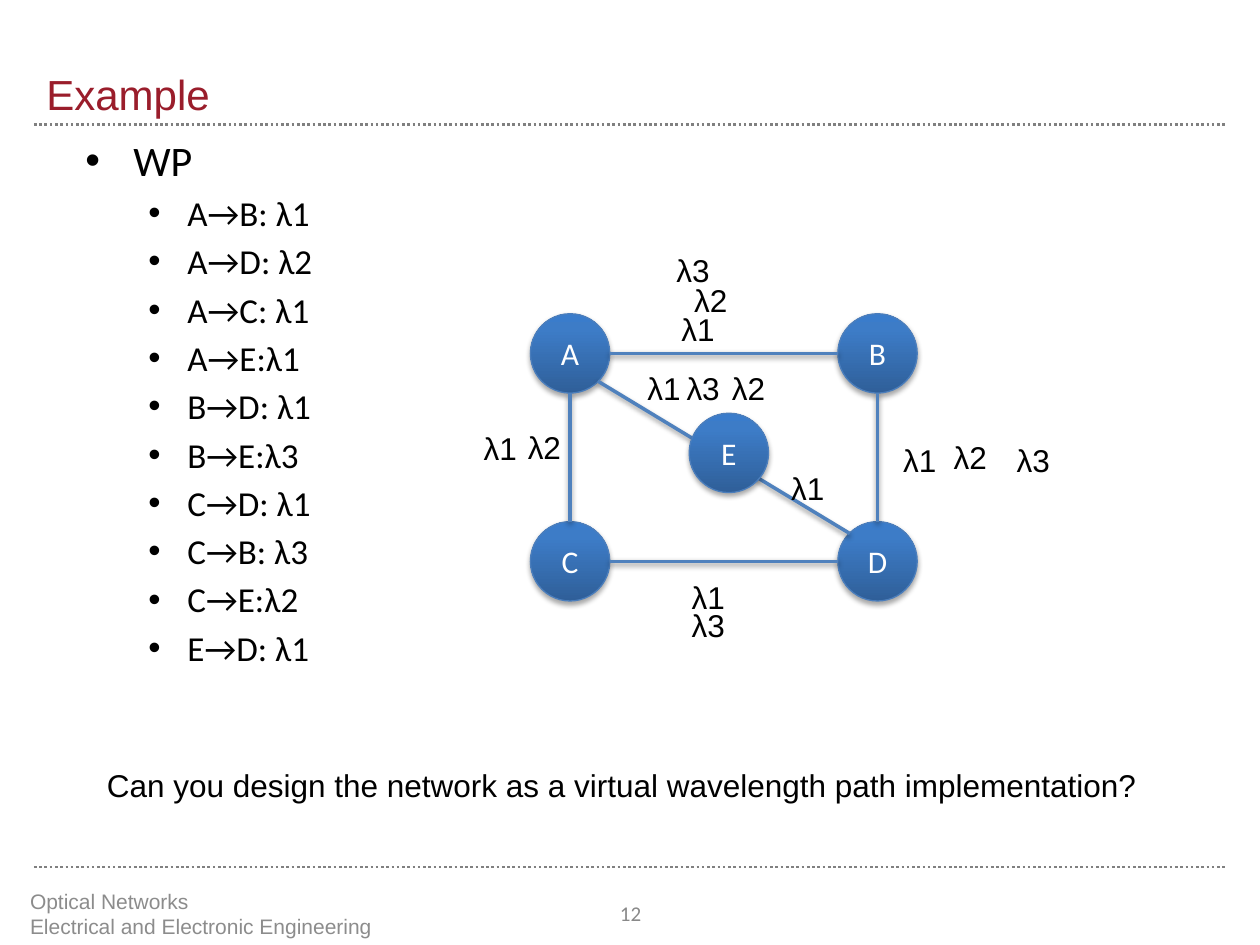
from lxml.etree import SubElement
from pptx import Presentation
from pptx.dml.color import RGBColor
from pptx.enum.dml import MSO_LINE
from pptx.enum.shapes import MSO_CONNECTOR, MSO_SHAPE
from pptx.enum.text import MSO_ANCHOR, PP_ALIGN
from pptx.oxml.ns import qn
from pptx.util import Inches, Pt

COLORS = {"title": "9A1D2B", "text": "000000", "footer": "8C8C8C", "number": "898989",
          "rule": "808080", "link": "4F81BD", "outline": "4B7EBC", "node": "FFFFFF"}
NODE_GRADIENT = ((0, "2F5F99"), (80, "3D7CC7"), (100, "3A7CCB"))

TITLE = {"name": "Arial", "size": Pt(24), "color": "title"}
TOPIC = {"name": "Calibri", "size": Pt(24), "color": "text"}
PATH = {"name": "Calibri", "size": Pt(20), "color": "text"}
FOOTER = {"name": "Arial", "size": Pt(12), "color": "footer"}
NUMBER = {"name": "Calibri", "size": Pt(12), "color": "number"}
NODE = {"name": "Calibri", "size": Pt(18), "color": "node"}
LABEL = {"name": "Arial", "size": Pt(18), "color": "text"}

PATHS = ("A→B: λ1", "A→D: λ2", "A→C: λ1", "A→E:λ1", "B→D: λ1",
         "B→E:λ3", "C→D: λ1", "C→B: λ3", "C→E:λ2", "E→D: λ1")

# Network geometry in inches, relative to the network's box
NODE_SIZE = 0.63
NODES = {"A": (0.47, 0.55), "B": (2.91, 0.55), "C": (0.47, 2.2), "D": (2.91, 2.2),
         "E": (1.73, 1.34)}
# Connection points as fractions of the node size
SITES = {"top": (0.5, 0), "bottom": (0.5, 1), "left": (0, 0.5), "right": (1, 0.5),
         "upper left": (0.15, 0.15), "lower right": (0.85, 0.85)}
LINKS = (("A", "right", "B", "left"), ("A", "bottom", "C", "top"),
         ("A", "lower right", "D", "upper left"), ("B", "bottom", "D", "top"),
         ("D", "left", "C", "right"))
WAVELENGTHS = (
    ("λ1", 1.57, 0.47), ("λ2", 1.67, 0.24), ("λ3", 1.53, 0),       # A–B
    ("λ1", 0, 1.42), ("λ2", 0.35, 1.41),                           # A–C
    ("λ1", 1.3, 0.94), ("λ3", 1.61, 0.94), ("λ2", 1.97, 0.94),     # A–E
    ("λ1", 2.44, 1.73),                                            # E–D
    ("λ1", 3.33, 1.51), ("λ2", 3.73, 1.49), ("λ3", 4.23, 1.51),    # B–D
    ("λ1", 1.65, 2.6), ("λ3", 1.65, 2.82),                         # C–D
)


def rgb(name):
    return RGBColor.from_string(COLORS[name])


def set_font(paragraph, style):
    for key, value in style.items():
        if key == "color":
            paragraph.font.color.rgb = rgb(value)
        else:
            setattr(paragraph.font, key, value)


def fill_text(shape, lines, style, anchor=MSO_ANCHOR.TOP, align=PP_ALIGN.LEFT, wrap=True):
    frame = shape.text_frame
    frame.word_wrap = wrap
    frame.vertical_anchor = anchor
    frame.text = "\n".join(lines)
    for paragraph in frame.paragraphs:
        paragraph.alignment = align
        set_font(paragraph, style)
    return frame


def add_text(slide, box, lines, style, **options):
    shape = slide.shapes.add_textbox(*map(Inches, box))
    return fill_text(shape, lines, style, **options)


def set_shadow(shape, opacity, distance):
    effects = shape._element.spPr.get_or_add_effectLst() if hasattr(
        shape._element.spPr, "get_or_add_effectLst") else SubElement(
        shape._element.spPr, qn("a:effectLst"))
    shadow = SubElement(effects, qn("a:outerShdw"), blurRad=str(Pt(3.1)),
                        dist=str(Pt(distance)), dir="5400000", rotWithShape="0")
    color = SubElement(shadow, qn("a:srgbClr"), val="000000")
    SubElement(color, qn("a:alpha"), val=str(opacity * 1000))


def add_line(slide, start, end, color, width):
    line = slide.shapes.add_connector(MSO_CONNECTOR.STRAIGHT, *map(Inches, (*start, *end)))
    line.line.color.rgb = rgb(color)
    line.line.width = Pt(width)
    return line


def add_rule(slide, left, top, width):
    rule = add_line(slide, (left, top), (left + width, top), "rule", 1.5)
    rule.line.dash_style = MSO_LINE.ROUND_DOT
    SubElement(rule._element.spPr, qn("a:effectLst"))


def add_header(slide, left, top, width, height):
    add_rule(slide, left, top + height, width)
    add_text(slide, (left, top, width, height), ["Example"], TITLE, anchor=MSO_ANCHOR.BOTTOM)


def add_bullet(paragraph, margin, hanging):
    properties = paragraph._p.get_or_add_pPr()
    properties.set("marL", str(Inches(margin)))
    properties.set("indent", str(-Inches(hanging)))
    SubElement(properties, qn("a:buFont"), typeface="Arial")
    SubElement(properties, qn("a:buChar"), char="•")


def add_path_list(slide, box):
    frame = add_text(slide, box, ["WP", *PATHS], PATH)
    topic, *paths = frame.paragraphs
    add_bullet(topic, 0.38, 0.38)
    set_font(topic, TOPIC)
    for paragraph in paths:
        paragraph.level = 1
        paragraph.space_before = Pt(3.6)
        add_bullet(paragraph, 0.81, 0.31)


def add_node(slide, name, left, top):
    node = slide.shapes.add_shape(MSO_SHAPE.OVAL, *map(Inches, (left, top, NODE_SIZE, NODE_SIZE)))
    node.fill.gradient()
    node.fill.gradient_angle = 90
    stops = node._element.spPr.find(qn("a:gradFill")).find(qn("a:gsLst"))
    for stop in list(stops):
        stops.remove(stop)
    for position, color in NODE_GRADIENT:
        stop = SubElement(stops, qn("a:gs"), pos=str(position * 1000))
        SubElement(stop, qn("a:srgbClr"), val=color)
    node.line.color.rgb = rgb("outline")
    node.line.width = Pt(0.75)
    set_shadow(node, 35, 1.8)
    fill_text(node, [name], NODE, anchor=MSO_ANCHOR.MIDDLE, align=PP_ALIGN.CENTER)


def add_network(slide, left, top):
    def site(name, side):
        return tuple(origin + offset + NODE_SIZE * fraction for origin, offset, fraction
                     in zip((left, top), NODES[name], SITES[side]))

    # Corner nodes, then links, then E over the diagonal link
    for name in "ABCD":
        add_node(slide, name, left + NODES[name][0], top + NODES[name][1])
    for start, start_side, end, end_side in LINKS:
        link = add_line(slide, site(start, start_side), site(end, end_side), "link", 2)
        set_shadow(link, 38, 1.6)
    add_node(slide, "E", left + NODES["E"][0], top + NODES["E"][1])

    # Wavelengths used on each link
    for text, x, y in WAVELENGTHS:
        add_text(slide, (left + x, top + y, 0.75, 0.4), [text], LABEL)


def add_footer(slide, left, top, width):
    add_rule(slide, left, top, width)
    text_top = top + 0.17
    add_text(slide, (left - 0.13, text_top, 4.23, 0.4),
             ["Optical Networks", "Electrical and Electronic Engineering"], FOOTER,
             anchor=MSO_ANCHOR.MIDDLE)
    add_text(slide, (left + width / 2 - 0.39, text_top, 0.79, 0.4), ["12"], NUMBER,
             anchor=MSO_ANCHOR.MIDDLE, align=PP_ALIGN.CENTER)


def main():
    presentation = Presentation()
    presentation.slide_width, presentation.slide_height = Inches(10), Inches(7.5)
    slide = presentation.slides.add_slide(presentation.slide_layouts[6])
    add_header(slide, 0.27, 0, 9.46, 0.99)
    add_path_list(slide, (0.58, 1.02, 2.6, 5.71))
    add_network(slide, 3.74, 1.94)
    add_text(slide, (0.75, 6.03, 8.45, 0.4),
             ["Can you design the network as a virtual wavelength path implementation?"],
             LABEL, wrap=False)
    add_footer(slide, 0.27, 6.88, 9.46)
    presentation.save("out.pptx")


if __name__ == "__main__":
    main()
